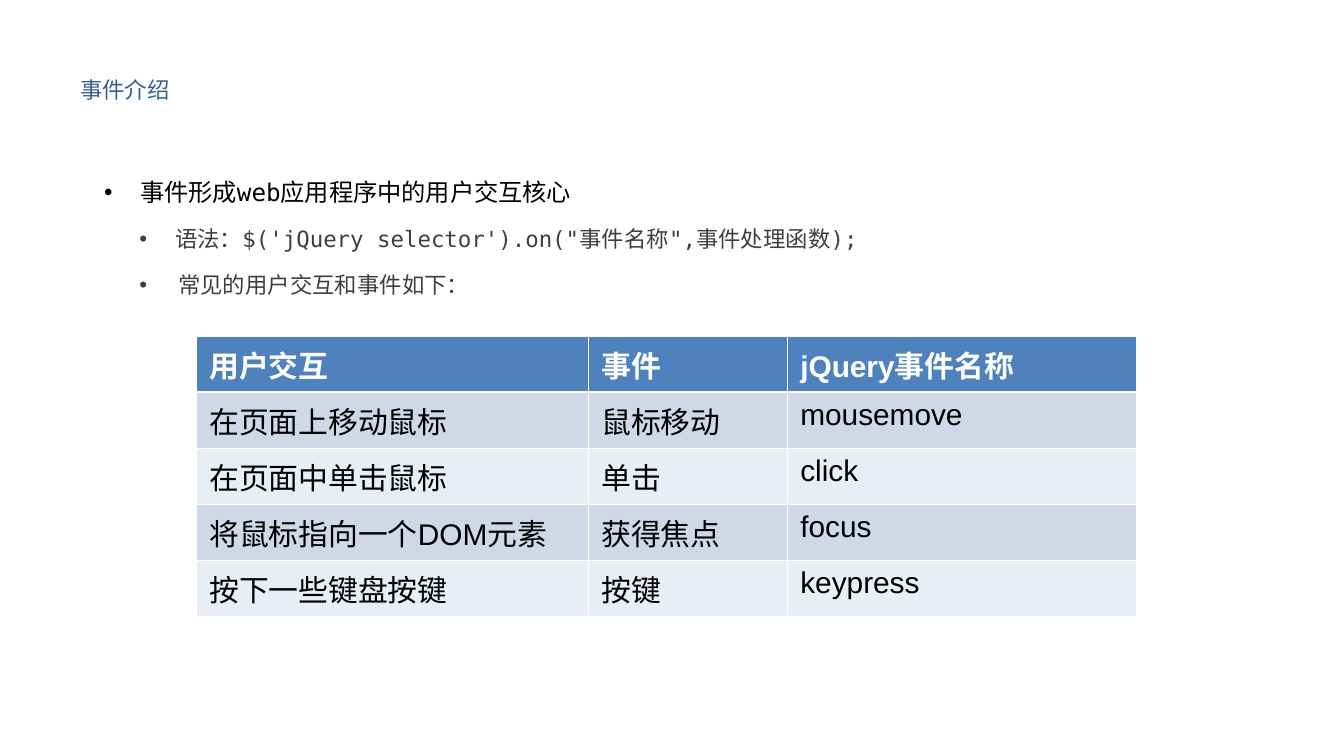
import pptx
import pptx.util
import pptx.dml.color
import pptx.enum.text
import pptx.oxml
import pptx.oxml.ns

SCALE = 914400 / 134.4
SANS, SERIF, MONO = "Arial", "Times New Roman", "DejaVu Sans Mono"

TITLE = "事件介绍"
TITLE_BOX = (67, 60, 1224, 59)
BULLETS_BOX = (91, 156, 1145, 519)
BULLETS = [
    ("事件形成web应用程序中的用户交互核心", 13, "000000", 36, 36),
    ("语法：$('jQuery selector').on(\"事件名称\",事件处理函数);", 12, "3F3F3F", 71, 36),
    ("常见的用户交互和事件如下：", 12, "3F3F3F", 74, 39),
]
TABLE_AT = (196, 336)
COLUMNS = [392, 199, 349]
ROW_HEIGHT = 56
ROWS = [
    [[("用户交互", SERIF)], [("事件", SERIF)], [("jQuery", SANS), ("事件名称", SERIF)]],
    [[("在页面上移动鼠标", SERIF)], [("鼠标移动", SERIF)], [("mousemove", SANS)]],
    [[("在页面中单击鼠标", SERIF)], [("单击", SERIF)], [("click", SANS)]],
    [[("将鼠标指向一个", SERIF), ("DOM元素", SANS)], [("获得焦点", SERIF)], [("focus", SANS)]],
    [[("按下一些键盘按键", SERIF)], [("按键", SERIF)], [("keypress", SANS)]],
]
HEADER_FILL = "4F81BD"
BAND_FILLS = ["E9EDF4", "D0D8E8"]
THIN, THICK = 0.45, 1.47


def px(n):
    return pptx.util.Emu(round(n * SCALE))


def rgb(value):
    return pptx.dml.color.RGBColor.from_string(value)


def add_run(p, text, size, font, color, bold=False):
    r = p.add_run()
    r.text = text
    r.font.size = pptx.util.Pt(size)
    r.font.name = font
    r.font.bold = bold
    r.font.color.rgb = rgb(color)


def add_box(s, box):
    tf = s.shapes.add_textbox(*map(px, box)).text_frame
    tf.word_wrap = True
    return tf


def add_element(parent, xml):
    namespace = pptx.oxml.ns.nsdecls("a")
    parent.append(pptx.oxml.parse_xml(xml.replace("/>", f" {namespace}/>", 1)
                                      if xml.endswith("/>") and xml.count("<") == 1
                                      else xml.replace(">", f" {namespace}>", 1)))


def set_bullet(p, color, left, hang):
    pPr = p._p.get_or_add_pPr()
    pPr.set("marL", str(px(left)))
    pPr.set("indent", str(-px(hang)))
    add_element(pPr, f'<a:buClr><a:srgbClr val="{color}"/></a:buClr>')
    add_element(pPr, f'<a:buFont typeface="{SANS}"/>')
    add_element(pPr, '<a:buChar char="•"/>')


def set_borders(cell, row):
    tcPr = cell._tc.get_or_add_tcPr()
    widths = {"lnL": THIN, "lnR": THIN,
              "lnT": THICK if row == 1 else THIN,
              "lnB": THICK if row == 0 else THIN}
    for side, width in widths.items():
        add_element(tcPr, f'<a:{side} w="{pptx.util.Pt(width)}"><a:solidFill>'
                          f'<a:srgbClr val="FFFFFF"/></a:solidFill></a:{side}>')


def add_events_table(s):
    width, height = sum(COLUMNS), ROW_HEIGHT * len(ROWS)
    table = s.shapes.add_table(len(ROWS), len(COLUMNS),
                               *map(px, (*TABLE_AT, width, height))).table
    for column, w in zip(table.columns, COLUMNS):
        column.width = px(w)
    for i, row in enumerate(ROWS):
        table.rows[i].height = px(ROW_HEIGHT)
        header = i == 0
        for j, runs in enumerate(row):
            cell = table.cell(i, j)
            set_borders(cell, i)
            cell.fill.solid()
            cell.fill.fore_color.rgb = rgb(HEADER_FILL if header else BAND_FILLS[i % 2])
            for text, font in runs:
                add_run(cell.text_frame.paragraphs[0], text, 16, font,
                        "FFFFFF" if header else "000000", header)


def main():
    prs = pptx.Presentation()
    prs.slide_width, prs.slide_height = px(1344), px(756)
    s = prs.slides.add_slide(prs.slide_layouts[6])

    tf = add_box(s, TITLE_BOX)
    tf.vertical_anchor = pptx.enum.text.MSO_ANCHOR.MIDDLE
    add_run(tf.paragraphs[0], TITLE, 12, SANS, "366092")

    tf = add_box(s, BULLETS_BOX)
    for i, (text, size, color, left, hang) in enumerate(BULLETS):
        p = tf.add_paragraph() if i else tf.paragraphs[0]
        set_bullet(p, color, left, hang)
        p.level = min(i, 1)
        p.line_spacing = 1.5
        if i:
            p.space_before = pptx.util.Pt(3)
        add_run(p, text, size, MONO, color)

    add_events_table(s)
    prs.save("out.pptx")


if __name__ == "__main__":
    main()
